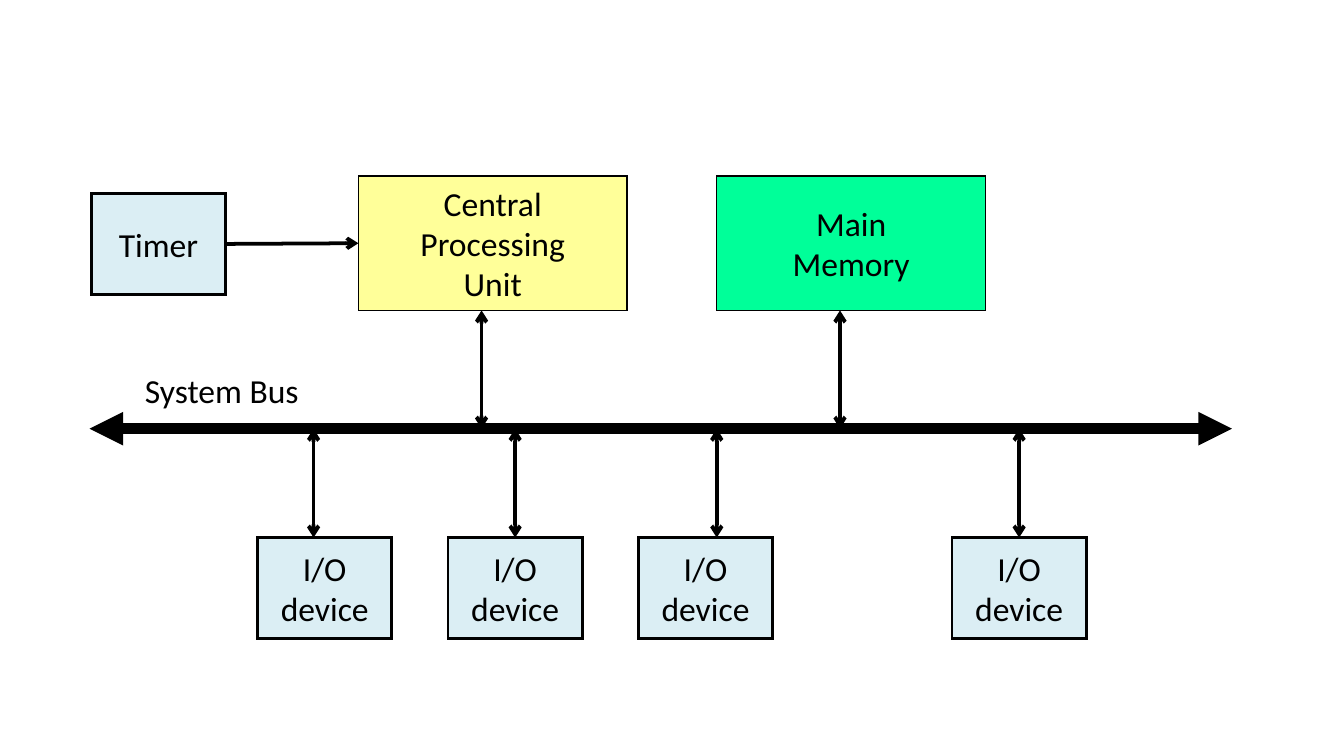
"""Build a slide of a computer's parts joined by a system bus."""
from pptx import Presentation
from pptx.dml.color import RGBColor
from pptx.enum.shapes import MSO_CONNECTOR as Link, MSO_SHAPE as Shape
from pptx.enum.text import MSO_ANCHOR as Anchor, PP_ALIGN as Align
from pptx.oxml.xmlchemy import OxmlElement as Node
from pptx.util import Inches, Pt

WIDE = 10
HIGH = WIDE * 9 / 16
COLS = 120
TOP, BUS, LOW = 1.31, 3.19, 4
BIG, SMALL = (24, 1), (12, 0.75)
BLACK, BLUE = "000000", "DBEEF4"

UNITS = [
    ("Central\nProcessing\nUnit", 32, "FFFF99", 43),
    ("Main\nMemory", 64, "00FF99", 75),
]
DEVICES = [("I/O\ndevice", left, mid) for left, mid in
           [(23, 28), (40, 46), (57, 64), (85, 91)]]
TIMER = ("Timer", 8.16, 1.44)
LABEL = ("System Bus", 0.98, 2.7, 1.37, 0.4)
ENDS = (8, 110)


def col(n):
    return n * WIDE / COLS


def color(code):
    return RGBColor.from_string(code)


def write(shape, text, align=Align.LEFT, anchor=Anchor.TOP, size=18):
    frame = shape.text_frame
    frame.word_wrap = False
    frame.vertical_anchor = anchor
    frame.text = text
    for para in frame.paragraphs:
        para.alignment = align
        font = para.font
        font.name, font.size = "Calibri", Pt(size)
        font.color.rgb = color(BLACK)


def stroke(shape, width):
    shape.line.color.rgb = color(BLACK)
    shape.line.width = Pt(width)
    edge = shape.line._get_or_add_ln()
    edge.append(Node("a:miter"))
    return edge


def box(text, left, top, size, fill, line=1.5):
    wide, high = size
    shape = slide.shapes.add_shape(
        Shape.RECTANGLE, Inches(col(left)), Inches(top),
        Inches(col(wide)), Inches(high))
    shape.shadow.inherit = False
    shape.fill.solid()
    shape.fill.fore_color.rgb = color(fill)
    stroke(shape, line)
    write(shape, text, align=Align.CENTER, anchor=Anchor.MIDDLE)


def arrow(start, end, width=2, kind="arrow", tips=("headEnd", "tailEnd")):
    (x1, y1), (x2, y2) = start, end
    link = slide.shapes.add_connector(
        Link.STRAIGHT, Inches(col(x1)), Inches(y1),
        Inches(col(x2)), Inches(y2))
    edge = stroke(link, width)
    for tip in tips:
        node = Node(f"a:{tip}")
        node.set("type", kind)
        edge.append(node)
    link._element.spPr.append(Node("a:effectLst"))


deck = Presentation()
deck.slide_width, deck.slide_height = Inches(WIDE), Inches(HIGH)
slide = deck.slides.add_slide(deck.slide_layouts[6])

for text, left, fill, mid in UNITS:
    box(text, left, TOP, BIG, fill, line=0.75)
for text, left, mid in DEVICES:
    box(text, left, LOW, SMALL, BLUE)

arrow((ENDS[0], BUS), (ENDS[1], BUS), width=6, kind="triangle")
name, *place = LABEL
write(slide.shapes.add_textbox(*map(Inches, place)), name)

for text, left, fill, mid in UNITS:
    arrow((mid, TOP + BIG[1]), (mid, BUS))
for text, left, mid in DEVICES:
    arrow((mid, BUS), (mid, LOW))

name, left, top = TIMER
box(name, left, top, SMALL, BLUE)
arrow((left + SMALL[0], top + SMALL[1] / 2),
      (UNITS[0][1], TOP + BIG[1] / 2), tips=["tailEnd"])

deck.save("out.pptx")
